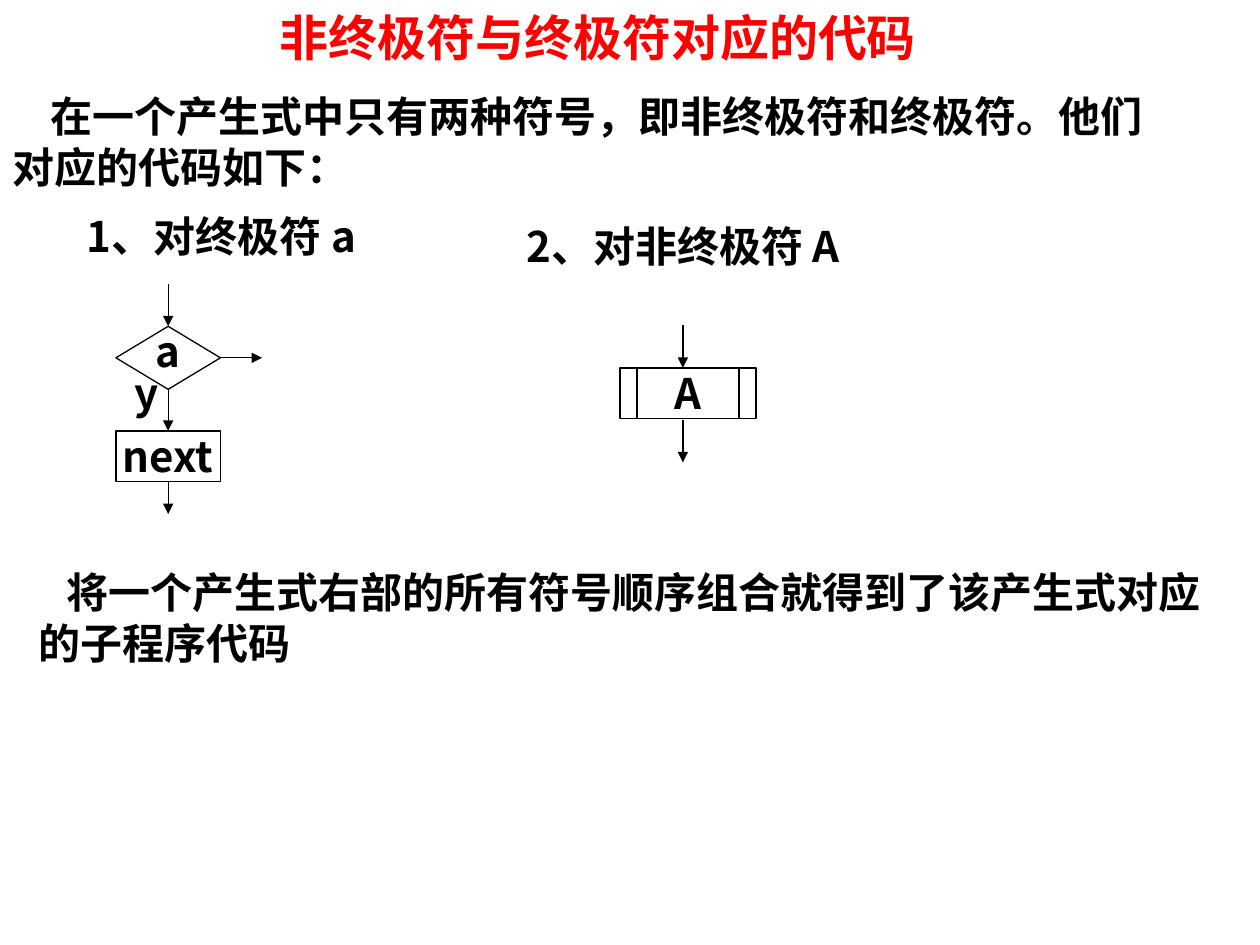
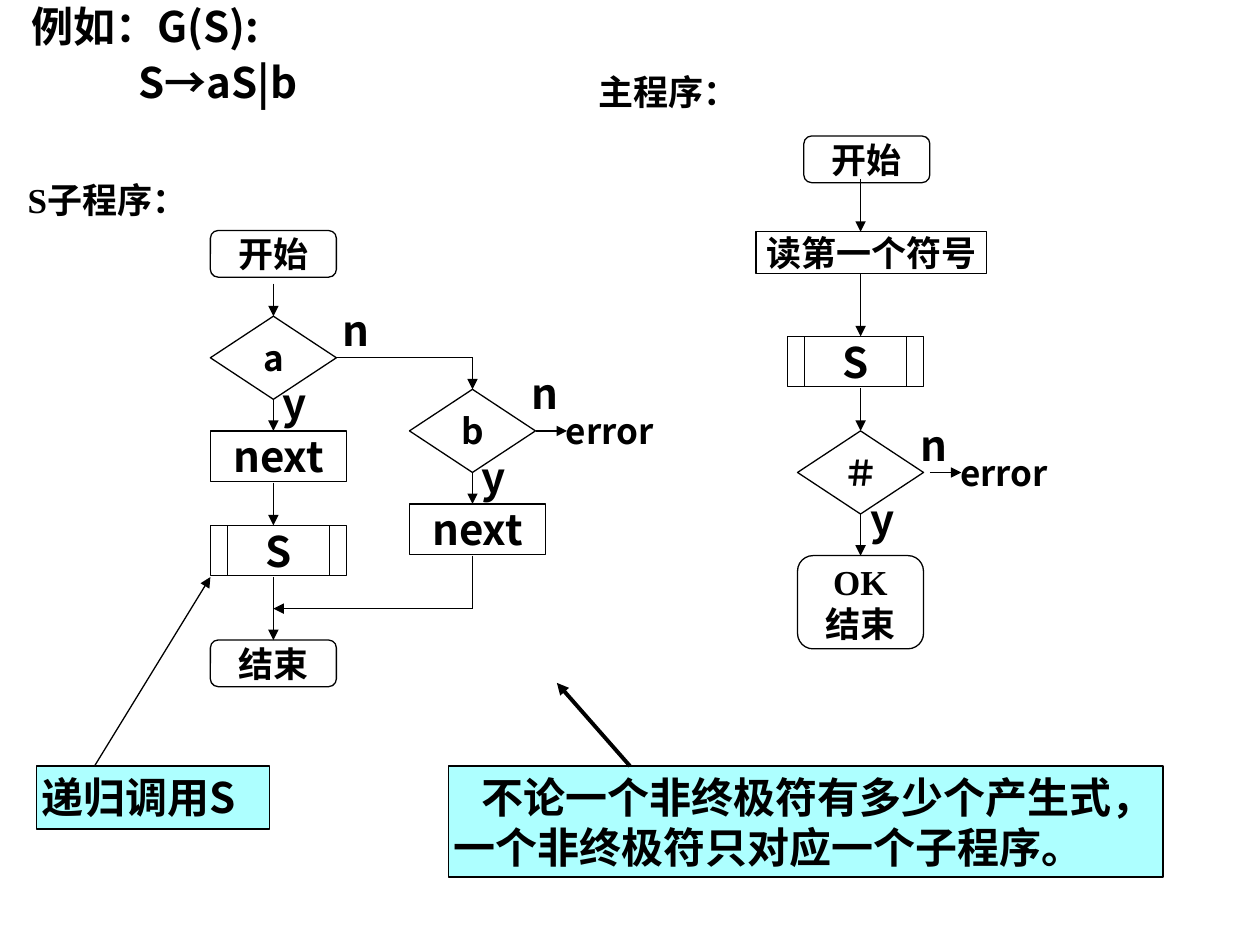
from dataclasses import dataclass
from typing import Any

from lxml import etree
from pptx import Presentation
from pptx import util as u
from pptx.dml.color import RGBColor
from pptx.enum import shapes, text
from pptx.oxml.ns import qn

SANS = "Noto Sans CJK SC"
SERIF = "Times New Roman"
BLACK, RED, CYAN = "000000", "FF0000", "ADFFFF"
SHAPE = shapes.MSO_SHAPE
STEP = SHAPE.FLOWCHART_PROCESS
CALL = SHAPE.FLOWCHART_PREDEFINED_PROCESS
TEST = SHAPE.FLOWCHART_DECISION
TERMINAL = SHAPE.FLOWCHART_ALTERNATE_PROCESS
CENTER = text.PP_ALIGN.CENTER
LEFT = text.PP_ALIGN.LEFT
TOP, BOTTOM, RIGHT = 0, 2, 3


def color(value):
    return RGBColor.from_string(value)


def write(sp, lines, size=24, font=SANS, fill=BLACK, align=LEFT,
          anchor=text.MSO_ANCHOR.TOP, insets=(0, 0, 0, 0), indents=(),
          spacing=None, before=0):
    tf = sp.text_frame
    tf.word_wrap = True
    tf.auto_size = text.MSO_AUTO_SIZE.NONE
    tf.vertical_anchor = anchor
    tf.margin_left, tf.margin_top, tf.margin_right, tf.margin_bottom = map(u.Inches, insets)
    for i, line in enumerate(lines.split("\n")):
        p = tf.add_paragraph() if i else tf.paragraphs[0]
        p.alignment = align
        p.line_spacing = spacing
        if i and before:
            p.space_before = u.Pt(before)
        if i < len(indents):
            p._p.get_or_add_pPr().set("indent", str(u.Inches(indents[i])))
        r = p.add_run()
        r.text = line
        r.font.size = u.Pt(size)
        r.font.bold = True
        r.font.name = font
        r.font.color.rgb = color(fill)
        ea = etree.SubElement(r._r.get_or_add_rPr(), qn("a:ea"))
        ea.set("typeface", SANS)


@dataclass
class Region:
    s: Any
    x: float = 0
    y: float = 0

    def box(self, x, y, w, h):
        return [u.Inches(v) for v in (self.x + x, self.y + y, w, h)]

    def label(self, lines, x, y, w=0.3, h=0.4, **fmt):
        write(self.s.shapes.add_textbox(*self.box(x, y, w, h)), lines, **fmt)

    def node(self, kind, lines, x, y, w=1.08, h=0.4, fill=None, **fmt):
        sp = self.s.shapes.add_shape(kind, *self.box(x, y, w, h))
        sp.shadow.inherit = False
        if fill:
            sp.fill.solid()
            sp.fill.fore_color.rgb = color(fill)
        else:
            sp.fill.background()
        sp.line.color.rgb = color(BLACK)
        sp.line.width = u.Pt(0.75)
        write(sp, lines, **{"align": CENTER, "anchor": text.MSO_ANCHOR.MIDDLE, **fmt})
        return sp

    def terminal(self, lines, x, y, h=0.37):
        return self.node(TERMINAL, lines, x, y, 1, h, size=20, font=SERIF)

    def test(self, lines, x, y):
        return self.node(TEST, lines, x, y, 1, 0.66, size=20)

    def note(self, lines, x, y, w, h, **fmt):
        return self.node(SHAPE.RECTANGLE, lines, x, y, w, h, fill=CYAN, align=LEFT,
                         anchor=text.MSO_ANCHOR.TOP, insets=(0.04,) * 4, **fmt)

    def link(self, start, end, arrow=True, width=0.75):
        joined = [hasattr(e[0], "shape_id") for e in (start, end)]
        points = [(0, 0) if j else e for j, e in zip(joined, (start, end))]
        ends = [u.Inches(v) for px, py in points for v in (self.x + px, self.y + py)]
        c = self.s.shapes.add_connector(shapes.MSO_CONNECTOR.STRAIGHT, *ends)
        if joined[0]:
            c.begin_connect(*start)
        if joined[1]:
            c.end_connect(*end)
        c.line.color.rgb = color(BLACK)
        c.line.width = u.Pt(width)
        if arrow:
            etree.SubElement(c.line._get_or_add_ln(), qn("a:tailEnd")).set("type", "triangle")
        etree.SubElement(c._element.spPr, qn("a:effectLst"))


def terminal_symbol(s, x, y):
    g = Region(s, x, y)
    g.label("1、对终极符 a", -0.23, -0.58, 2.8)
    test = g.node(TEST, "a", 0, 0.34, 0.83, 0.5, insets=(0, 0, 0, 0.12))
    step = g.node(STEP, "next", 0, 1.17, 0.83)
    g.link((0.415, 0), (test, TOP))
    g.link((test, BOTTOM), (step, TOP))
    g.link((step, BOTTOM), (0.415, 1.83))
    g.link((test, RIGHT), (1.16, 0.59))
    g.label("y", 0.15, 0.67)


def nonterminal_symbol(s, x, y):
    g = Region(s, x, y)
    g.label("2、对非终极符 A", -0.74, -0.83, 3)
    g.node(CALL, "A", 0, 0.34)
    g.link((0.5, 0), (0.5, 0.34))
    g.link((0.5, 0.75), (0.5, 1.09))


def subprogram(s, x, y):
    g = Region(s, x, y)
    g.label("S子程序：", -1.45, -0.41, 1.5, size=20, font=SERIF)
    g.terminal("开始", 0, 0)
    end = g.terminal("结束", 0, 3.25)
    test_a = g.test("a", 0, 0.68)
    test_b = g.test("b", 1.58, 1.26)
    g.node(STEP, "next", 0, 1.59)
    g.node(CALL, "S", 0, 2.34)
    g.node(STEP, "next", 1.58, 2.17)
    g.link((0.5, 0.42), (test_a, TOP))
    g.link((test_a, BOTTOM), (0.5, 1.59))
    g.link((0.5, 2), (0.5, 2.34))
    g.link((0.5, 2.75), (end, TOP))
    g.link((test_a, RIGHT), (2.08, 1.01), arrow=False)
    g.link((2.08, 1.01), (test_b, TOP))
    g.link((test_b, BOTTOM), (2.08, 2.17))
    g.link((test_b, RIGHT), (2.83, 1.59))
    g.link((2.08, 2.58), (2.08, 3), arrow=False)
    g.link((2.08, 3), (0.5, 3))
    g.label("error", 2.82, 1.42, 0.9, size=20)
    for answer, ax, ay in (("n", 1.05, 0.59), ("y", 0.57, 1.17),
                           ("n", 2.55, 1.09), ("y", 2.15, 1.75)):
        g.label(answer, ax, ay)


def main_program(s, x, y):
    g = Region(s, x, y)
    g.label("主程序：", -1.58, -0.52, 1.3, size=20, font=SERIF)
    g.terminal("开始", 0.05, 0)
    g.node(STEP, "读第一个符号", -0.33, 0.76, 1.83, 0.33, size=20)
    g.node(CALL, "S", -0.08, 1.59)
    test = g.test("＃", 0, 2.34)
    end = g.terminal("OK\n结束", 0, 3.33, 0.74)
    g.link((0.5, 0.34), (0.5, 0.76))
    g.link((0.5, 1.09), (0.5, 1.59))
    g.link((0.5, 2), (test, TOP))
    g.link((test, BOTTOM), (end, TOP))
    g.link((1.05, 2.67), (1.3, 2.67))
    g.label("error", 1.29, 2.5, 0.9, size=20)
    g.label("n", 0.98, 2.25)
    g.label("y", 0.58, 2.84)


def symbols_slide(prs):
    s = prs.slides.add_slide(prs.slide_layouts[5])
    g = Region(s)
    title = s.shapes.title
    title.left, title.top, title.width, title.height = g.box(0.58, 0, 8.33, 0.58)
    write(title, "非终极符与终极符对应的代码", size=28, font=SERIF, fill=RED,
          align=CENTER, anchor=text.MSO_ANCHOR.MIDDLE)
    g.label("在一个产生式中只有两种符号，即非终极符和终极符。他们对应的代码如下：",
            0, 0.67, 9.4, 0.92, insets=(0.1, 0.05, 0.1, 0.05), indents=(0.3,))
    terminal_symbol(s, 0.92, 2.25)
    nonterminal_symbol(s, 4.92, 2.58)
    g.label("将一个产生式右部的所有符号顺序组合就得到了该产生式对应\n的子程序代码",
            0.31, 4.5, 9.4, 0.8, indents=(0.22,))


def example_slide(prs):
    s = prs.slides.add_slide(prs.slide_layouts[6])
    g = Region(s)
    g.label("例如：G(S):\nS→aS|b", 0, 0, 4.08, 0.92, insets=(0.1, 0.05, 0.1, 0.05),
            indents=(0.15, 1), spacing=0.9, before=6)
    subprogram(s, 1.67, 1.83)
    main_program(s, 6.33, 1.08)
    g.note("递归调用S", 0.29, 6.08, 1.85, 0.5)
    g.link((0.75, 6.08), (1.67, 4.58))
    g.note("不论一个非终极符有多少个产生式，\n一个非终极符只对应一个子程序。",
           3.56, 6.08, 5.67, 0.88, indents=(0.22,))
    g.link((5, 6.08), (4.42, 5.42), width=2.25)


def main():
    prs = Presentation()
    prs.slide_width, prs.slide_height = u.Inches(10), u.Inches(7.5)
    symbols_slide(prs)
    example_slide(prs)
    prs.save("out.pptx")


if __name__ == "__main__":
    main()
